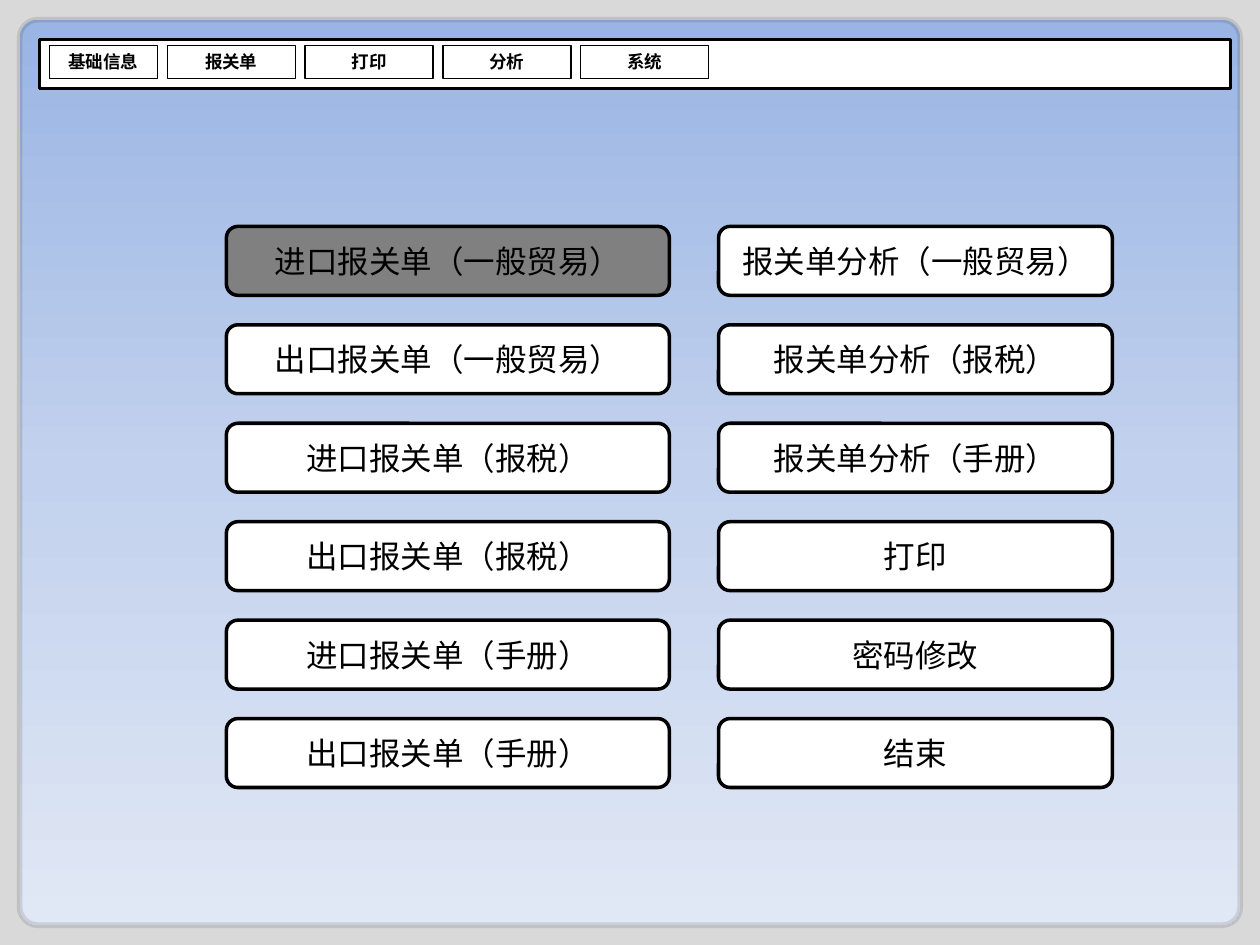
from copy import deepcopy

from lxml import etree
from pptx import Presentation
from pptx.dml.color import RGBColor
from pptx.enum.shapes import MSO_SHAPE
from pptx.enum.text import MSO_ANCHOR, MSO_AUTO_SIZE, PP_ALIGN
from pptx.oxml.ns import qn
from pptx.util import Inches, Pt

RECT, ROUND = MSO_SHAPE.RECTANGLE, MSO_SHAPE.ROUNDED_RECTANGLE
TOP, MIDDLE = MSO_ANCHOR.TOP, MSO_ANCHOR.MIDDLE
FIT = MSO_AUTO_SIZE.SHAPE_TO_FIT_TEXT
CENTER = PP_ALIGN.CENTER

COLORS = {
    "back": "D9D9D9", "ink": "000000", "paper": "FFFFFF", "chosen": "808080",
    "sky": "9AB5E4", "haze": "C2D1ED", "mist": "E1E8F5",
}
COLS, ROWS = 128, 96  # square grid over the 10 x 7.5 inch slide
UNIT = Inches(10) / COLS

TABS = ["基础信息", "报关单", "打印", "分析", "系统"]
FORMS = ["进口报关单（一般贸易）", "出口报关单（一般贸易）", "进口报关单（报税）",
         "出口报关单（报税）", "进口报关单（手册）", "出口报关单（手册）"]
TOOLS = ["报关单分析（一般贸易）", "报关单分析（报税）", "报关单分析（手册）",
         "打印", "密码修改", "结束"]


def color(name):
    return RGBColor.from_string(COLORS[name])


def add_box(slide, kind, box, fill, line):
    """Add an outlined shape; box is left, top, width, height in grid units."""
    shape = slide.shapes.add_shape(kind, *(round(n * UNIT) for n in box))
    shape.shadow.inherit = False
    shape.fill.solid()
    shape.fill.fore_color.rgb = color(fill)
    shape.line.color.rgb = color("ink")
    shape.line.width = Pt(line)
    return shape


def add_label(shape, text, size, anchor, bold=False):
    frame = shape.text_frame
    frame.word_wrap = True
    frame.vertical_anchor = anchor
    para = frame.paragraphs[0]
    para.text = text
    para.alignment = CENTER
    font = para.font
    font.name, font.size, font.bold = "Calibri", Pt(size), bold
    font.color.rgb = color("ink")


def draw_panel(slide, box):
    """Rounded backdrop with a three-stop gradient and a faint border."""
    panel = add_box(slide, ROUND, box, "sky", 3.25)
    panel.adjustments[0] = 0.02
    fill = panel.fill
    fill.gradient()
    fill.gradient_angle = 270
    stops = panel._element.spPr.find(qn("a:gradFill")).find(qn("a:gsLst"))
    stops.insert(1, deepcopy(stops[0]))
    for stop, place, name in zip(fill.gradient_stops, (0, 0.5, 1),
                                 ("sky", "haze", "mist")):
        stop.position = place
        stop.color.rgb = color(name)
    ink = panel.line._ln.find(qn("a:solidFill"))[0]
    etree.SubElement(ink, qn("a:alpha")).set("val", "11000")


def draw_menu(slide, box):
    left, top, _, _ = box
    add_box(slide, RECT, box, "paper", 2)
    for i, text in enumerate(TABS):
        # The first tab is narrower and starts where its wide cell is cut.
        start, width = (left + 1, 11) if i == 0 else (left - 1 + 14 * i, 13)
        tab = add_box(slide, RECT, (start, top + 0.6, width, 3.4), "paper", 0.75)
        add_label(tab, text, 10, TOP, True)
        tab.text_frame.auto_size = FIT


def draw_stack(slide, box, texts, chosen=None):
    """Stack equal buttons down the box with gaps of three rows."""
    left, top, width, height = box
    gap = 3
    tall = (height + gap) / len(texts) - gap
    for i, text in enumerate(texts):
        fill = "chosen" if i == chosen else "paper"
        place = (left, top + i * (tall + gap), width, tall)
        add_label(add_box(slide, ROUND, place, fill, 2), text, 18, MIDDLE)


def main():
    deck = Presentation()
    deck.slide_width = round(COLS * UNIT)
    deck.slide_height = round(ROWS * UNIT)
    slide = deck.slides.add_slide(deck.slide_layouts[6])
    back = slide.background.fill
    back.solid()
    back.fore_color.rgb = color("back")
    draw_panel(slide, (2, 2, 124, 92))
    draw_menu(slide, (4, 4, 121, 5))
    draw_stack(slide, (23, 23, 45, 57), FORMS, chosen=0)
    draw_stack(slide, (73, 23, 40, 57), TOOLS)
    deck.save("out.pptx")


if __name__ == "__main__":
    main()
